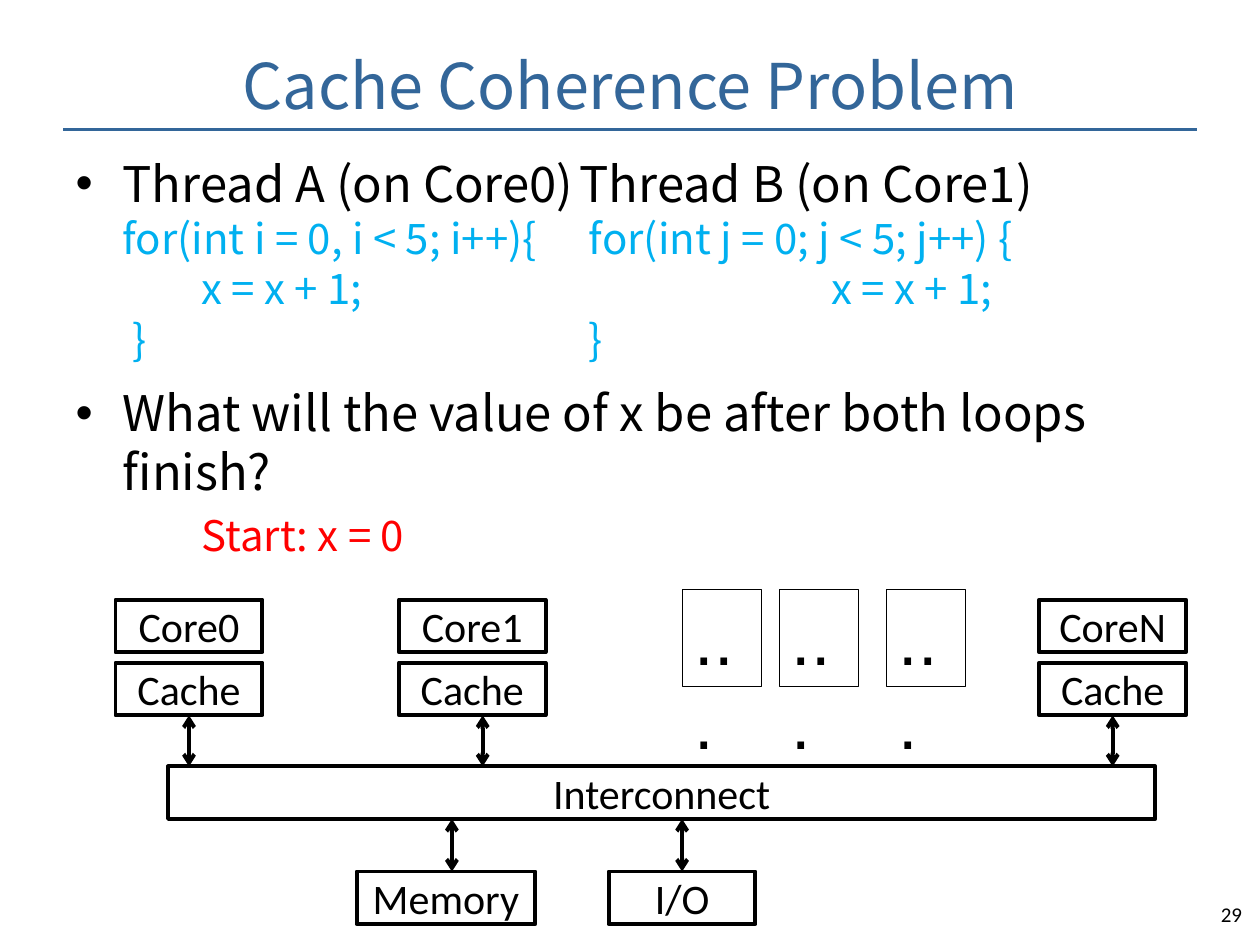
from lxml import etree
from pptx import Presentation
from pptx import util as u
from pptx.dml.color import RGBColor
from pptx.enum import shapes, text
from pptx.oxml.ns import qn

BLACK = RGBColor(0, 0, 0)
NAVY = RGBColor(0x33, 0x66, 0x99)
SKY = RGBColor(0x00, 0xB0, 0xF0)
RED = RGBColor(0xFF, 0, 0)
HEADING_FONT = "Noto Sans CJK SC"

deck = Presentation()
deck.slide_width, deck.slide_height = u.Cm(25.4), u.Cm(19.05)
page = deck.slides.add_slide(deck.slide_layouts[1])


def add_span(para, words, size, color, font=HEADING_FONT):
    span = para.add_run()
    span.text = words
    span.font.size = u.Pt(size)
    span.font.name = font
    span.font.color.rgb = color


def add_line(x1, y1, x2, y2, width, color, arrows=True):
    line = page.shapes.add_connector(
        shapes.MSO_CONNECTOR.STRAIGHT, u.Cm(x1), u.Cm(y1), u.Cm(x2), u.Cm(y2))
    line.line.width = u.Pt(width)
    line.line.color.rgb = color
    if arrows:
        outline = line.line._get_or_add_ln()
        for end in ("a:headEnd", "a:tailEnd"):
            etree.SubElement(outline, qn(end), type="arrow")
    etree.SubElement(line._element.spPr, qn("a:effectLst"))
    return line


add_line(1.27, 2.61, 24.13, 2.61, 2, NAVY, arrows=False)

title = page.shapes.title
title.left, title.top, title.width, title.height = u.Cm(1.27), u.Cm(0.84), u.Cm(22.86), u.Cm(1.7)
title.text_frame.vertical_anchor = text.MSO_ANCHOR.MIDDLE
title.text_frame.auto_size = text.MSO_AUTO_SIZE.NONE
para = title.text_frame.paragraphs[0]
para.alignment = text.PP_ALIGN.CENTER
add_span(para, "Cache Coherence Problem", 36, NAVY)

body = page.placeholders[1]
body.left, body.top, body.width, body.height = u.Cm(1.27), u.Cm(2.97), u.Cm(22.86), u.Cm(12.57)
frame = body.text_frame
frame.auto_size = text.MSO_AUTO_SIZE.NONE
threads, question, start = frame.paragraphs[0], frame.add_paragraph(), frame.add_paragraph()
for para, before, after, margin, hanging, bullet in [
    (threads, 6, 6, 0.95, -0.95, "•"),
    (question, 5, 0, 0.95, -0.95, "•"),
    (start, 5, 0, 2.54, 0, None),
]:
    para.line_spacing = 1.0
    para.space_before, para.space_after = u.Pt(before), u.Pt(after)
    props = para._p.get_or_add_pPr()
    props.set("marL", str(u.Cm(margin)))
    props.set("indent", str(u.Cm(hanging)))
    props.set("defTabSz", str(u.Cm(2.54)))
    if bullet:
        etree.SubElement(props, qn("a:buFont"), typeface="Arial")
        etree.SubElement(props, qn("a:buChar"), char=bullet)
    else:
        etree.SubElement(props, qn("a:buNone"))

add_span(threads, "Thread A (on Core0)\tThread B (on Core1)", 28, BLACK)
for code in [
    "for(int i = 0, i < 5; i++){\t for(int j = 0; j < 5; j++) {",
    "\tx = x + 1;\t\t\t\tx = x + 1;",
    " }\t\t\t\t }",
]:
    threads.add_line_break()
    add_span(threads, code, 24, SKY)
add_span(question, "What will the value of x be after both loops finish?", 28, BLACK)
add_span(start, "Start: x = 0", 24, RED)

CORE_Y, CACHE_Y, BUS_Y, DEVICE_Y = 12.09, 13.36, 15.45, 17.57
BOX_WIDTH, BOX_HEIGHT = 2.96, 1.06
labels = [("Interconnect", 3.39, BUS_Y, 19.9),
          ("Memory", 7.19, DEVICE_Y, 3.6),
          ("I/O", 12.27, DEVICE_Y, BOX_WIDTH)]
for core, left in [("Core0", 2.33), ("Core1", 8.04), ("CoreN", 20.95)]:
    labels += [(core, left, CORE_Y, BOX_WIDTH), ("Cache", left, CACHE_Y, BOX_WIDTH)]

ELLIPSIS_Y, ELLIPSIS_WIDTH, ELLIPSIS_HEIGHT = 11.88, 1.6, 1.96
blocks = [(*label, BOX_HEIGHT, 2.25, 24, "Calibri",
           text.MSO_ANCHOR.MIDDLE, text.PP_ALIGN.CENTER) for label in labels]
blocks += [("...", left, ELLIPSIS_Y, ELLIPSIS_WIDTH, ELLIPSIS_HEIGHT, 0.75, 40, "Arial",
            text.MSO_ANCHOR.TOP, text.PP_ALIGN.LEFT) for left in (13.76, 15.71, 17.87)]

boxes = {}
for words, left, top, width, height, border, size, font, anchor, align in blocks:
    box = page.shapes.add_shape(shapes.MSO_SHAPE.RECTANGLE,
                                u.Cm(left), u.Cm(top), u.Cm(width), u.Cm(height))
    box.shadow.inherit = False
    box.fill.background()
    box.line.color.rgb = BLACK
    box.line.width = u.Pt(border)
    box.text_frame.word_wrap = True
    box.text_frame.vertical_anchor = anchor
    para = box.text_frame.paragraphs[0]
    para.alignment = align
    add_span(para, words, size, BLACK, font)
    boxes[words, left] = box

for x, cache_left in [(3.81, 2.33), (9.73, None), (22.43, 20.95)]:
    arrow = add_line(x, CACHE_Y + BOX_HEIGHT, x, BUS_Y, 2.25, BLACK)
    if cache_left:
        arrow.begin_connect(boxes["Cache", cache_left], 2)
for x, device in [(9.11, None), (13.75, ("I/O", 12.27))]:
    arrow = add_line(x, BUS_Y + BOX_HEIGHT, x, DEVICE_Y, 2.25, BLACK)
    if device:
        arrow.end_connect(boxes[device], 0)

number = page.shapes.add_textbox(u.Cm(24.13), u.Cm(18.03), u.Cm(1.19), u.Cm(0.58))
frame = number.text_frame
frame.word_wrap = True
frame.margin_left = frame.margin_right = u.Cm(0.28)
frame.margin_top = frame.margin_bottom = u.Cm(0.15)
para = frame.paragraphs[0]
para.alignment = text.PP_ALIGN.RIGHT
add_span(para, "29", 12, BLACK, "Calibri")

deck.save("out.pptx")
